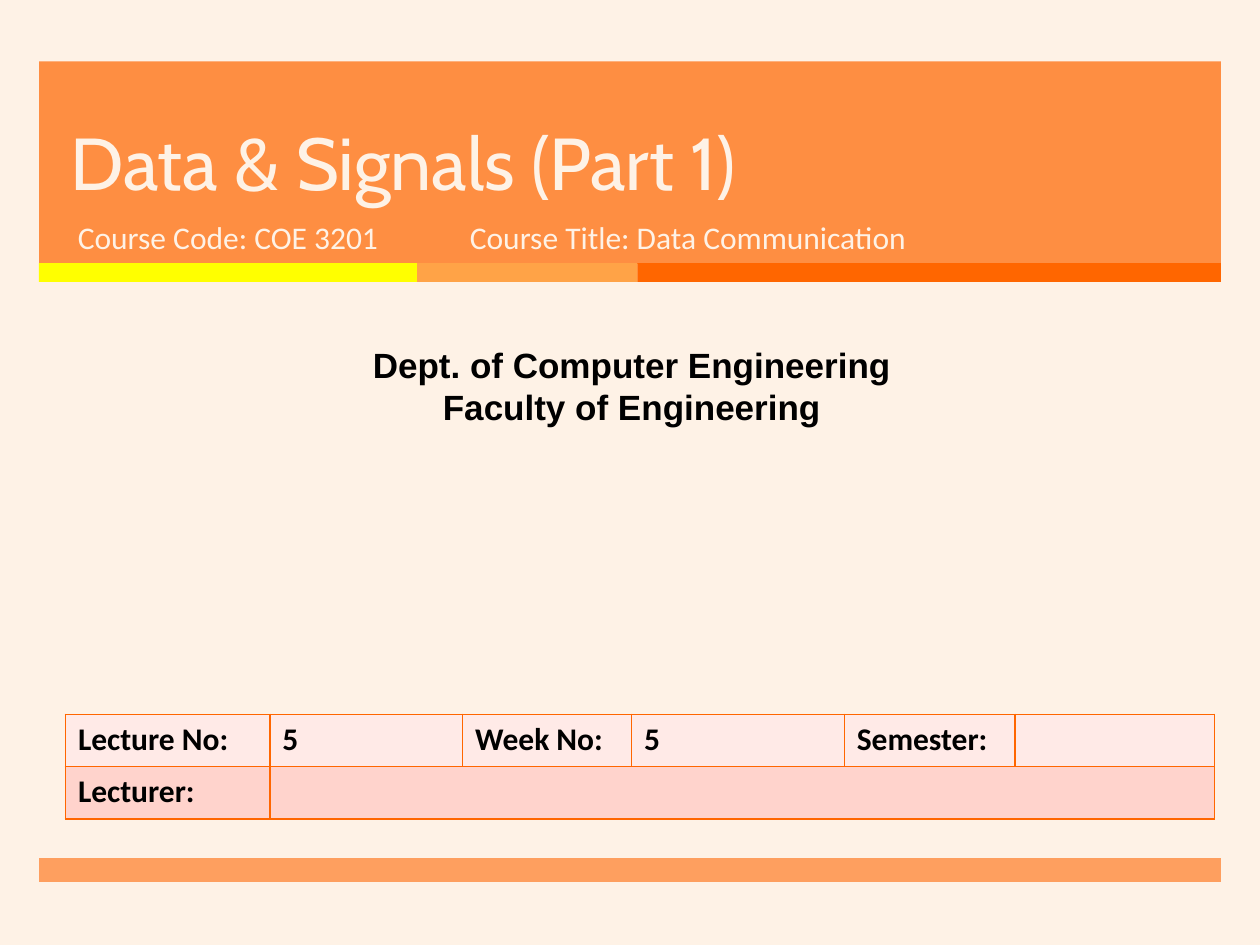
"""Build the opening slide of a lecture on data and signals."""
from dataclasses import dataclass

from lxml.etree import SubElement
from pptx import Presentation
from pptx.dml.color import RGBColor
from pptx.enum.shapes import MSO_SHAPE
from pptx.enum.text import MSO_ANCHOR, MSO_AUTO_SIZE, PP_ALIGN
from pptx.oxml.ns import qn
from pptx.util import Pt

CREAM = RGBColor(0xFE, 0xF2, 0xE6)
ORANGE = RGBColor(0xFF, 0x7D, 0x26)
YELLOW = RGBColor(0xFF, 0xFF, 0x00)
AMBER = RGBColor(0xFF, 0xA3, 0x47)
DEEP_ORANGE = RGBColor(0xFF, 0x66, 0x00)
PALE_PINK = RGBColor(0xFF, 0xEA, 0xE7)
PINK = RGBColor(0xFF, 0xD3, 0xCC)
BLACK = RGBColor(0, 0, 0)


@dataclass(frozen=True)
class Band:
    left: float
    top: float
    width: float
    height: float
    color: RGBColor
    opacity: int = 100


@dataclass(frozen=True)
class Style:
    font: str
    size: float
    color: RGBColor
    bold: bool = False
    align: PP_ALIGN = PP_ALIGN.LEFT
    line_spacing: float | None = None


@dataclass(frozen=True)
class Label:
    left: float
    top: float
    width: float
    height: float
    lines: tuple[str, ...]
    style: Style


BAND_LEFT, BAND_WIDTH, STRIPE_TOP = 22.3, 675.4, 150.3
BANDS = (
    Band(BAND_LEFT, 35, BAND_WIDTH, 115.8, ORANGE, 85),
    Band(BAND_LEFT, STRIPE_TOP, 216, 10.8, YELLOW),
    Band(238.3, STRIPE_TOP, 126, 10.8, AMBER),
    Band(364.3, STRIPE_TOP, 333.4, 10.8, DEEP_ORANGE),
    Band(BAND_LEFT, 490.3, BAND_WIDTH, 13.7, ORANGE, 70),
)

TITLE_STYLE = Style("Cabin", 42, CREAM, line_spacing=46)
COURSE_STYLE = Style("Calibri", 18, CREAM)
FACULTY_STYLE = Style("Arial", 20, BLACK, True, PP_ALIGN.CENTER)
TABLE_STYLE = Style("Calibri", 18, BLACK, True)

TITLE = Label(33.1, 35.3, 614.9, 85.7, ("Data & Signals (Part 1)",), TITLE_STYLE)
LABELS = (
    Label(37.4, 121, 219.6, 38.2, ("Course Code: COE 3201",), COURSE_STYLE),
    Label(5.8, 193, 710.6, 55.4,
          ("Dept. of Computer Engineering", "Faculty of Engineering"), FACULTY_STYLE),
    Label(261.4, 121.3, 327.6, 38.2, ("Course Title: Data Communication",), COURSE_STYLE),
)

COLUMN_WIDTHS = (116.8, 110.2, 96.5, 121.6, 97.7, 113.8)
ROW_HEIGHT = 29.9
ROWS = (
    (PALE_PINK, ("Lecture No:", "5", "Week No:", "5", "Semester:", "")),
    (PINK, ("Lecturer:", "", "", "", "", "")),
)


def write(frame, lines: tuple[str, ...], style: Style) -> None:
    for index, line in enumerate(lines):
        para = frame.add_paragraph() if index else frame.paragraphs[0]
        para.alignment = style.align
        if style.line_spacing:
            para.line_spacing = Pt(style.line_spacing)
        span = para.add_run()
        span.text = line
        span.font.name = style.font
        span.font.size = Pt(style.size)
        span.font.bold = style.bold
        span.font.color.rgb = style.color


def draw_band(page, band: Band) -> None:
    box = page.shapes.add_shape(MSO_SHAPE.RECTANGLE, Pt(band.left), Pt(band.top),
                                Pt(band.width), Pt(band.height))
    box.shadow.inherit = False
    box.line.fill.background()
    box.fill.solid()
    box.fill.fore_color.rgb = band.color
    if band.opacity < 100:
        color = box.element.spPr.find(qn("a:solidFill")).find(qn("a:srgbClr"))
        SubElement(color, qn("a:alpha"), val=str(band.opacity * 1000))


def draw_title(page, label: Label) -> None:
    box = page.shapes.title
    box.left, box.top = Pt(label.left), Pt(label.top)
    box.width, box.height = Pt(label.width), Pt(label.height)
    frame = box.text_frame
    frame.auto_size = MSO_AUTO_SIZE.NONE
    frame.vertical_anchor = MSO_ANCHOR.BOTTOM
    write(frame, label.lines, label.style)
    box.element.getparent().append(box.element)


def draw_label(page, label: Label) -> None:
    box = page.shapes.add_textbox(Pt(label.left), Pt(label.top),
                                  Pt(label.width), Pt(label.height))
    box.text_frame.word_wrap = True
    write(box.text_frame, label.lines, label.style)


def draw_borders(cell, color: RGBColor, width: float) -> None:
    properties = cell._tc.get_or_add_tcPr()
    for index, side in enumerate(("a:lnL", "a:lnR", "a:lnT", "a:lnB")):
        line = properties.makeelement(qn(side), {"w": str(Pt(width))})
        fill = SubElement(line, qn("a:solidFill"))
        SubElement(fill, qn("a:srgbClr"), val=str(color))
        properties.insert(index, line)


def draw_table(page) -> None:
    table = page.shapes.add_table(
        len(ROWS), len(COLUMN_WIDTHS), Pt(37.4), Pt(408.2),
        Pt(sum(COLUMN_WIDTHS)), Pt(ROW_HEIGHT * len(ROWS))).table
    for column, width in zip(table.columns, COLUMN_WIDTHS):
        column.width = Pt(width)
    for row, (color, texts) in enumerate(ROWS):
        table.rows[row].height = Pt(ROW_HEIGHT)
        for column, text in enumerate(texts):
            cell = table.cell(row, column)
            cell.fill.solid()
            cell.fill.fore_color.rgb = color
            draw_borders(cell, DEEP_ORANGE, 1)
            if text:
                write(cell.text_frame, (text,), TABLE_STYLE)
    table.cell(1, 1).merge(table.cell(1, len(COLUMN_WIDTHS) - 1))


def main() -> None:
    deck = Presentation()
    deck.slide_width, deck.slide_height = Pt(720), Pt(540)
    page = deck.slides.add_slide(deck.slide_layouts[5])
    page.background.fill.solid()
    page.background.fill.fore_color.rgb = CREAM
    for band in BANDS:
        draw_band(page, band)
    draw_title(page, TITLE)
    for label in LABELS:
        draw_label(page, label)
    draw_table(page)
    deck.save("out.pptx")


main()
